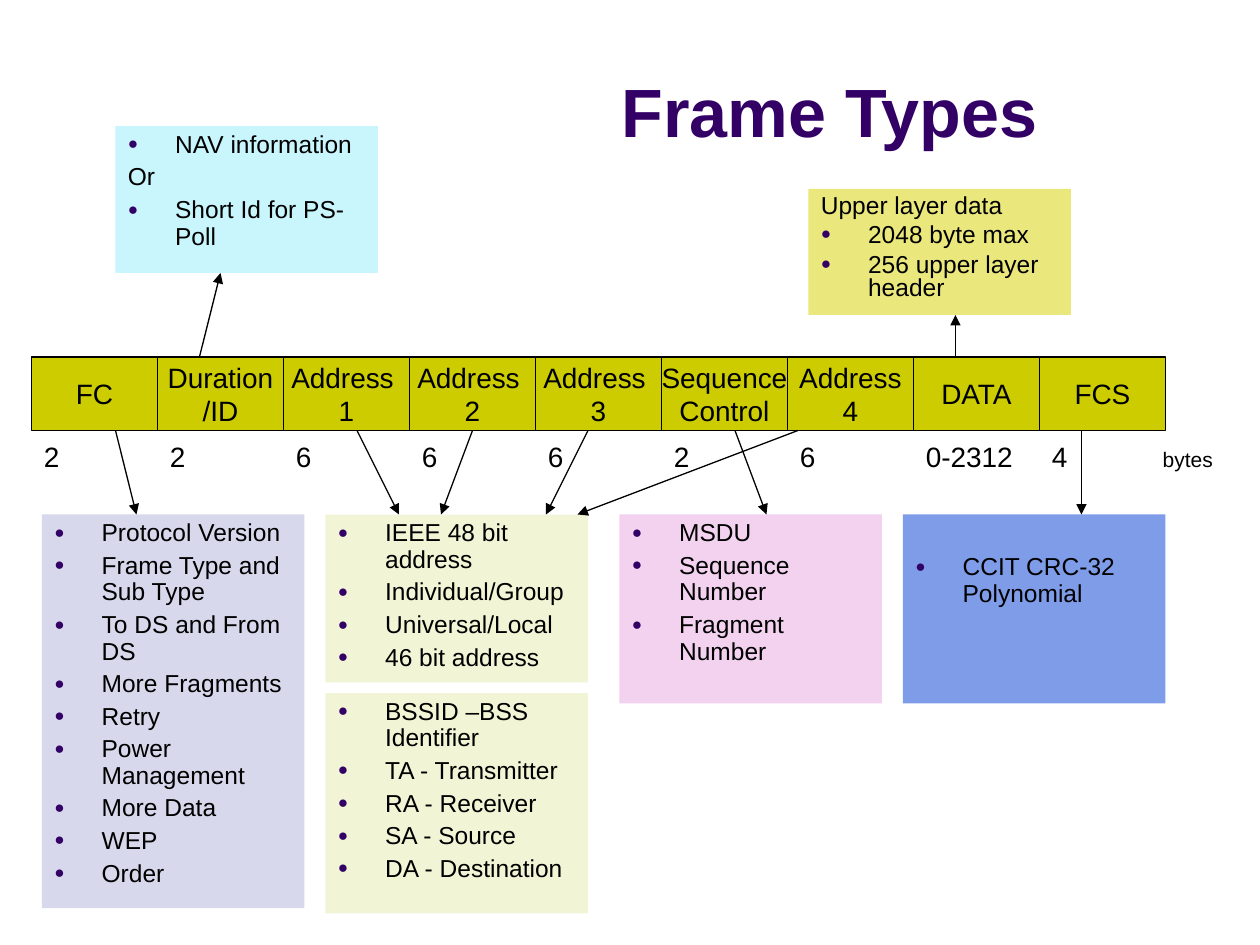
from lxml import etree
from pptx import Presentation
from pptx.dml.color import RGBColor
from pptx.enum.shapes import MSO_CONNECTOR, MSO_SHAPE
from pptx.enum.text import MSO_ANCHOR, PP_ALIGN
from pptx.oxml.ns import qn
from pptx.util import Pt

RECTANGLE = MSO_SHAPE.RECTANGLE
STRAIGHT = MSO_CONNECTOR.STRAIGHT
LEFT, CENTER = PP_ALIGN.LEFT, PP_ALIGN.CENTER
TOP, MIDDLE, BOTTOM = MSO_ANCHOR.TOP, MSO_ANCHOR.MIDDLE, MSO_ANCHOR.BOTTOM
FONT = "Arial"
BOTTOM_SITE = 2
COLORS = {
    "text": "000000", "accent": "330066", "field": "CCCC00",
    "control": "D8D8EC", "duration": "C8F6FC", "address": "F1F5D5",
    "sequence": "F2D2EF", "checksum": "7E9CE8", "data": "EAE77C",
}


def write_text(shape, lines, size=14, color="text", bold=False, align=LEFT,
               anchor=TOP, wrap=True, spacing=1.0, before=0, margin_top=3.6):
    """Fill a shape with paragraphs; a line that starts with "* " gets a bullet."""
    frame = shape.text_frame
    frame.word_wrap = wrap
    frame.vertical_anchor = anchor
    frame.margin_top = Pt(margin_top)
    for index, line in enumerate(lines):
        paragraph = frame.paragraphs[0] if index == 0 else frame.add_paragraph()
        paragraph.alignment = align
        paragraph.line_spacing = spacing
        if index and before:
            paragraph.space_before = Pt(before)
        if line.startswith("* "):
            properties = paragraph._p.get_or_add_pPr()
            properties.set("marL", str(Pt(27)))
            properties.set("indent", str(-Pt(27)))
            bullet_color = etree.SubElement(properties, qn("a:buClr"))
            etree.SubElement(bullet_color, qn("a:srgbClr"), val=COLORS["accent"])
            etree.SubElement(properties, qn("a:buSzPct"), val="70000")
            etree.SubElement(properties, qn("a:buFont"), typeface=FONT)
            etree.SubElement(properties, qn("a:buChar"), char="●")
        run = paragraph.add_run()
        run.text = line.removeprefix("* ")
        run.font.name = FONT
        run.font.size = Pt(size)
        run.font.bold = bold
        run.font.color.rgb = RGBColor.from_string(COLORS[color])


def add_box(left, top, width, height, fill):
    shape = slide.shapes.add_shape(RECTANGLE, Pt(left), Pt(top), Pt(width), Pt(height))
    shape.shadow.inherit = False
    shape.fill.solid()
    shape.fill.fore_color.rgb = RGBColor.from_string(COLORS[fill])
    shape.line.fill.background()
    return shape


presentation = Presentation()
presentation.slide_width, presentation.slide_height = Pt(720), Pt(540)
slide = presentation.slides.add_slide(presentation.slide_layouts[6])

# Title
title = slide.shapes.add_textbox(Pt(348), Pt(9), Pt(282), Pt(81))
write_text(title, ["Frame Types"], size=39, color="accent", bold=True, anchor=BOTTOM)

# Frame fields, one equal cell each
FIELD_LEFT, FIELD_TOP, FIELD_WIDTH, FIELD_HEIGHT = 18, 204, 72, 42
FIELD_BOTTOM = FIELD_TOP + FIELD_HEIGHT
fields = [
    (["FC"], "2"), (["Duration", "/ID"], "2"), (["Address ", "1"], "6"),
    (["Address ", "2"], "6"), (["Address ", "3"], "6"),
    (["Sequence", "Control"], "2"), (["Address", "4"], "6"),
    (["DATA"], "0-2312"), (["FCS"], "4"),
]
field_shapes = []
for index, (lines, _) in enumerate(fields):
    field = add_box(FIELD_LEFT + index * FIELD_WIDTH, FIELD_TOP,
                    FIELD_WIDTH, FIELD_HEIGHT, "field")
    field.line.color.rgb = RGBColor.from_string(COLORS["text"])
    field.line.width = Pt(0.75)
    write_text(field, lines, size=16, align=CENTER, anchor=MIDDLE, wrap=False)
    field_shapes.append(field)

# Field lengths on tab stops under the cells, with the unit at the right
lengths = slide.shapes.add_textbox(Pt(FIELD_LEFT), Pt(FIELD_BOTTOM), Pt(684), Pt(29))
paragraph = lengths.text_frame.paragraphs[0]
tab_list = etree.SubElement(paragraph._p.get_or_add_pPr(), qn("a:tabLst"))
for index in range(1, len(fields)):
    etree.SubElement(tab_list, qn("a:tab"), pos=str(Pt(index * FIELD_WIDTH)), algn="l")
etree.SubElement(tab_list, qn("a:tab"), pos=str(Pt(668)), algn="r")
write_text(lengths, ["\t".join(length for _, length in fields)], size=16, margin_top=5.4)
unit = paragraph.add_run()
unit.text = "\tbytes"
unit.font.name = FONT
unit.font.size = Pt(12)
unit.font.color.rgb = RGBColor.from_string(COLORS["text"])

# Notes: left, top, height, fill, line spacing, top margin, lines
NOTE_WIDTH, NOTE_TOP = 150, 294
notes = [
    (24, NOTE_TOP, 225, "control", 0.9, 3.6, [
        "* Protocol Version", "* Frame Type and Sub Type", "* To DS and From DS",
        "* More Fragments", "* Retry", "* Power Management", "* More Data",
        "* WEP", "* Order"]),
    (66, 72, 84, "duration", 0.9, 3.6, [
        "* NAV information", "Or", "* Short Id for PS-Poll"]),
    (186, 396, 126, "address", 0.9, 3.6, [
        "* BSSID –BSS Identifier", "* TA - Transmitter", "* RA - Receiver",
        "* SA - Source", "* DA - Destination"]),
    (186, NOTE_TOP, 96, "address", 0.9, 3.6, [
        "* IEEE 48 bit address", "* Individual/Group", "* Universal/Local",
        "* 46 bit address"]),
    (354, NOTE_TOP, 108, "sequence", 0.9, 3.6, [
        "* MSDU", "* Sequence Number", "* Fragment Number"]),
    (516, NOTE_TOP, 108, "checksum", 0.9, 23, ["* CCIT CRC-32 Polynomial"]),
    (462, 108, 72, "data", 0.8, 3.6, [
        "Upper layer data", "* 2048 byte max", "* 256 upper layer header"]),
]
for left, top, height, fill, spacing, margin_top, lines in notes:
    note = add_box(left, top, NOTE_WIDTH, height, fill)
    write_text(note, lines, spacing=spacing, before=3.5, margin_top=margin_top)

# Arrows from the fields to their notes
arrows = [
    (66, FIELD_BOTTOM, 78, NOTE_TOP), (114, FIELD_TOP, 126, 156),
    (204, FIELD_BOTTOM, 228, NOTE_TOP), (270, FIELD_BOTTOM, 252, NOTE_TOP),
    (336, FIELD_BOTTOM, 312, NOTE_TOP), (456, FIELD_BOTTOM, 330, NOTE_TOP),
    (420, FIELD_BOTTOM, 438, NOTE_TOP), (618, FIELD_BOTTOM, 618, NOTE_TOP),
    (546, FIELD_TOP, 546, 180),
]
for start_x, start_y, end_x, end_y in arrows:
    arrow = slide.shapes.add_connector(STRAIGHT, Pt(start_x), Pt(start_y),
                                       Pt(end_x), Pt(end_y))
    index, offset = divmod(start_x - FIELD_LEFT, FIELD_WIDTH)
    if offset == FIELD_WIDTH / 2 and start_y == FIELD_BOTTOM:
        arrow.begin_connect(field_shapes[index], BOTTOM_SITE)
    arrow.line.color.rgb = RGBColor.from_string(COLORS["text"])
    arrow.line.width = Pt(0.75)
    etree.SubElement(arrow.line._get_or_add_ln(), qn("a:tailEnd"), type="triangle")
    etree.SubElement(arrow._element.spPr, qn("a:effectLst"))

presentation.save("out.pptx")
